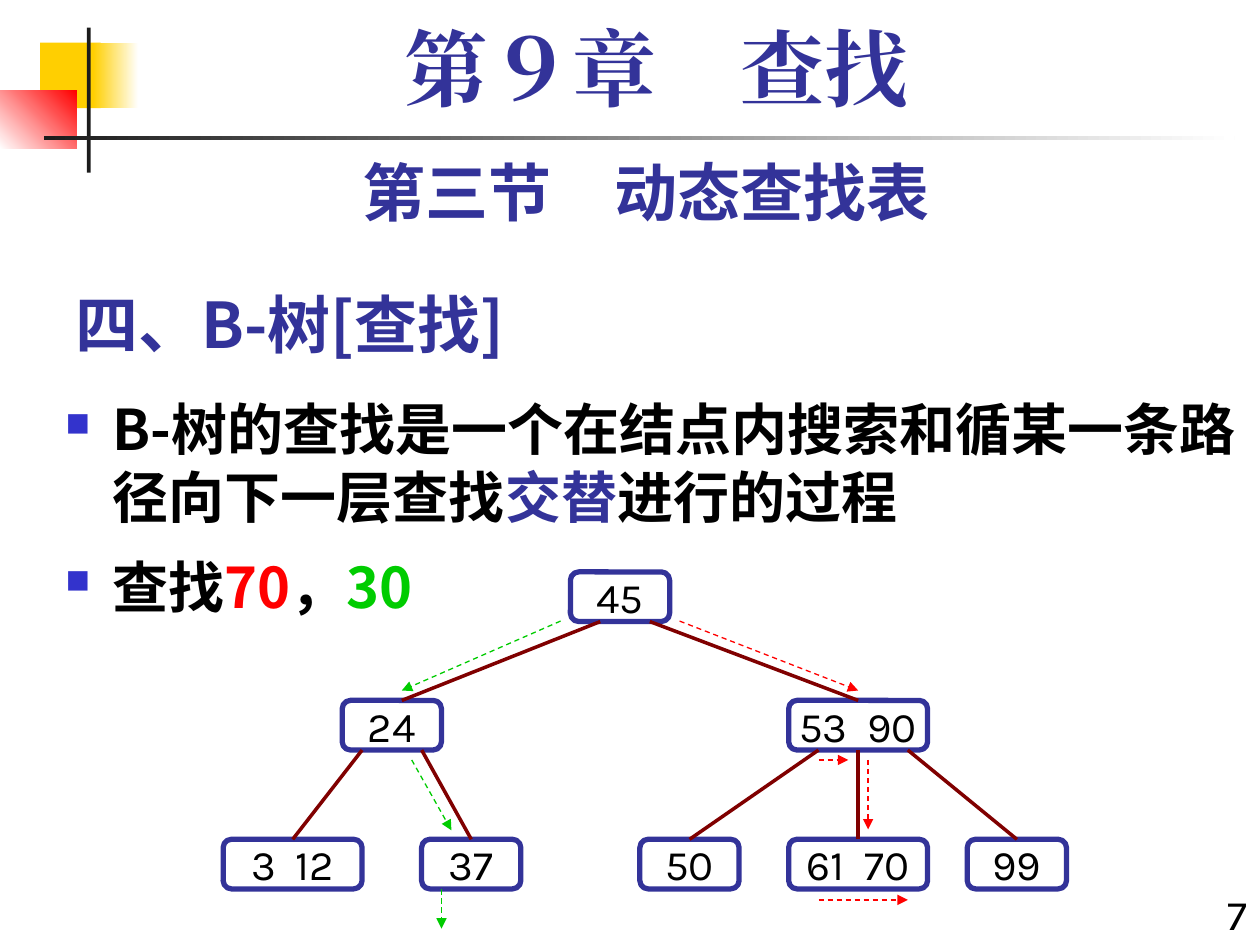
from lxml import etree
from pptx import Presentation
from pptx.dml.color import RGBColor
from pptx.enum.dml import MSO_LINE
from pptx.enum.shapes import MSO_CONNECTOR, MSO_SHAPE
from pptx.enum.text import MSO_ANCHOR, PP_ALIGN
from pptx.oxml.ns import qn
from pptx.util import Cm, Pt

RECT, ROUND = MSO_SHAPE.RECTANGLE, MSO_SHAPE.ROUNDED_RECTANGLE
STRAIGHT, DASH = MSO_CONNECTOR.STRAIGHT, MSO_LINE.DASH
LEFT, MID, RIGHT = PP_ALIGN.LEFT, PP_ALIGN.CENTER, PP_ALIGN.RIGHT
TOP, CENTER, BOTTOM = MSO_ANCHOR.TOP, MSO_ANCHOR.MIDDLE, MSO_ANCHOR.BOTTOM
KARLA, NOTO, TIMES = "Karla", "Noto Sans CJK SC", "Times New Roman"

COLORS = {
    "black": "000000", "white": "FFFFFF", "ink": "1C1C1C",
    "navy": "333399", "blue": "3333CC", "gold": "FFCF01",
    "red": "FF0000", "green": "00CC00", "brown": "800000",
}

NODE_H = 1.0
ROWS = (11.53, 14.12, 16.92)
# name: (text, left, row, width)
NODES = {
    "root": ("45", 11.5, 0, 2), "left": ("24", 6.9, 1, 2),
    "right": ("53  90", 15.9, 1, 2.8), "a": ("3  12", 4.5, 2, 2.8),
    "b": ("37", 8.5, 2, 2), "c": ("50", 12.9, 2, 2),
    "d": ("61  70", 15.9, 2, 2.8), "e": ("99", 19.5, 2, 2),
}
# parent, start x, child, end x
EDGES = [
    ("root", 12.1, "left", 8.1), ("root", 13.1, "right", 17.3),
    ("left", 7.3, "a", 5.9), ("left", 8.5, "b", 9.5),
    ("right", 16.5, "c", 13.9), ("right", 17.3, "d", 17.3),
    ("right", 18.3, "e", 20.5),
]
STEPS = {
    "red": [(13.7, 12.52, 17.3, 13.92), (17.5, 15.32, 17.5, 16.72),
            (16.5, 15.32, 17.1, 15.32), (16.5, 18.14, 18.3, 18.14)],
    "green": [(11.3, 12.52, 8.1, 13.92), (8.3, 15.32, 9.1, 16.74),
              (8.9, 17.93, 8.9, 18.72)],
}


def rgb(name):
    return RGBColor.from_string(COLORS[name])


def add_tag(parent, tag, **attrs):
    node = etree.SubElement(parent, qn(tag), attrs)
    return node


def add_bullet(para):
    props = para._p.get_or_add_pPr()
    props.set("marL", str(Cm(0.95)))
    props.set("indent", str(-Cm(0.95)))
    tint = add_tag(props, "a:buClr")
    add_tag(tint, "a:srgbClr", val=COLORS["blue"])
    add_tag(props, "a:buSzPct", val="60000")
    add_tag(props, "a:buChar", char="■")


def write(shape, paras, size, font=KARLA, color="black", bold=False,
          align=LEFT, anchor=TOP, wrap=True, bullet=False, line=None, gap=0):
    """Fill a shape with paragraphs, each a list of (text, color or None)."""
    frame = shape.text_frame
    frame.word_wrap = wrap
    frame.vertical_anchor = anchor
    for i, runs in enumerate(paras):
        para = frame.add_paragraph() if i else frame.paragraphs[0]
        if bullet:
            add_bullet(para)
        para.alignment = align
        if line:
            para.line_spacing = line
        if i and gap:
            para.space_before = Pt(gap)
        for text, tint in runs:
            run = para.add_run()
            run.text = text
            run.font.size = Pt(size)
            run.font.bold = bold
            run.font.color.rgb = rgb(tint or color)
            run.font.name = font
            add_tag(run._r.get_or_add_rPr(), "a:ea", typeface=font)


def add_text(slide, box, paras, size, **form):
    write(slide.shapes.add_textbox(*map(Cm, box)), paras, size, **form)


def add_bar(slide, box, color, fade=None, angle=0):
    """Add a plain rectangle, or one that fades to a second color."""
    bar = slide.shapes.add_shape(RECT, *map(Cm, box))
    bar.shadow.inherit = False
    bar.line.fill.background()
    if fade:
        bar.fill.gradient()
        bar.fill.gradient_angle = angle
        for stop, name, place in zip(bar.fill.gradient_stops, (color, fade), (0, 1)):
            stop.color.rgb = rgb(name)
            stop.position = place
    else:
        bar.fill.solid()
        bar.fill.fore_color.rgb = rgb(color)


def add_node(slide, text, left, row, width):
    node = slide.shapes.add_shape(
        ROUND, Cm(left), Cm(ROWS[row]), Cm(width), Cm(NODE_H))
    node.shadow.inherit = False
    node.fill.background()
    node.line.color.rgb = rgb("navy")
    node.line.width = Pt(3)
    write(node, [[(text, None)]], 24, align=MID, anchor=CENTER, wrap=False)
    return node


def add_line(slide, ends, color, width):
    line = slide.shapes.add_connector(STRAIGHT, *ends)
    line.line.color.rgb = rgb(color)
    line.line.width = Pt(width)
    add_tag(line._element.spPr, "a:effectLst")
    return line


def add_edge(slide, top, x1, low, x2):
    """Link two nodes, glued wherever an end meets the middle of a side."""
    x1, x2 = Cm(x1), Cm(x2)
    edge = add_line(slide, (x1, top.top + top.height, x2, low.top), "brown", 2)
    if x1 == top.left + top.width // 2:
        edge.begin_connect(top, 2)
    if x2 == low.left + low.width // 2:
        edge.end_connect(low, 0)


def add_step(slide, ends, color):
    step = add_line(slide, map(Cm, ends), color, 0.75)
    step.line.dash_style = DASH
    add_tag(step.get_or_add_ln(), "a:tailEnd", type="triangle")


def add_decor(slide):
    add_bar(slide, (0.81, 0.86, 1.22, 1.32), "gold")
    add_bar(slide, (1.88, 0.86, 0.91, 1.32), "gold", "white")
    add_bar(slide, (0, 1.83, 1.55, 1.17), "white", "red", 45)
    add_bar(slide, (1.75, 0.56, 0.08, 2.92), "ink")
    add_bar(slide, (0.89, 2.74, 24, 0.08), "ink", "white")


def add_words(slide):
    head = {"color": "navy", "bold": True}
    add_text(slide, (1.27, 5.51, 17.35, 1.9), [[("四、B-树[查找]", None)]], 36,
             font=NOTO, anchor=BOTTOM, **head)
    add_text(slide, (23.7, 17.78, 1.7, 1.5), [[("7", None)]], 24, align=RIGHT)
    add_text(slide, (1.27, 2.97, 23.5, 1.78), [[("第三节\u3000动态查找表", None)]],
             36, align=MID, **head)
    points = [
        [("B-树的查找是一个在结点内搜索和循某一条路径向下一层查找", None),
         ("交替", "navy"), ("进行的过程", None)],
        [("查找", None), ("70", "red"), ("，", None), ("30", "green")],
    ]
    add_text(slide, (1.07, 7.82, 24.33, 11.23), points, 32, font=NOTO,
             bold=True, bullet=True, line=Pt(38.9), gap=12)
    add_text(slide, (1.7, 0.43, 23.06, 2.11), [[("第９章\u3000查找", None)]], 48,
             font=TIMES, align=MID, line=0.9, **head)


def add_tree(slide):
    nodes = {name: add_node(slide, *spec) for name, spec in NODES.items()}
    for top, x1, low, x2 in EDGES:
        add_edge(slide, nodes[top], x1, nodes[low], x2)
    for color, steps in STEPS.items():
        for ends in steps:
            add_step(slide, ends, color)


def main():
    deck = Presentation()
    deck.slide_width, deck.slide_height = Cm(25.4), Cm(19.05)
    slide = deck.slides.add_slide(deck.slide_layouts[6])
    add_decor(slide)
    add_words(slide)
    add_tree(slide)
    deck.save("out.pptx")


if __name__ == "__main__":
    main()
